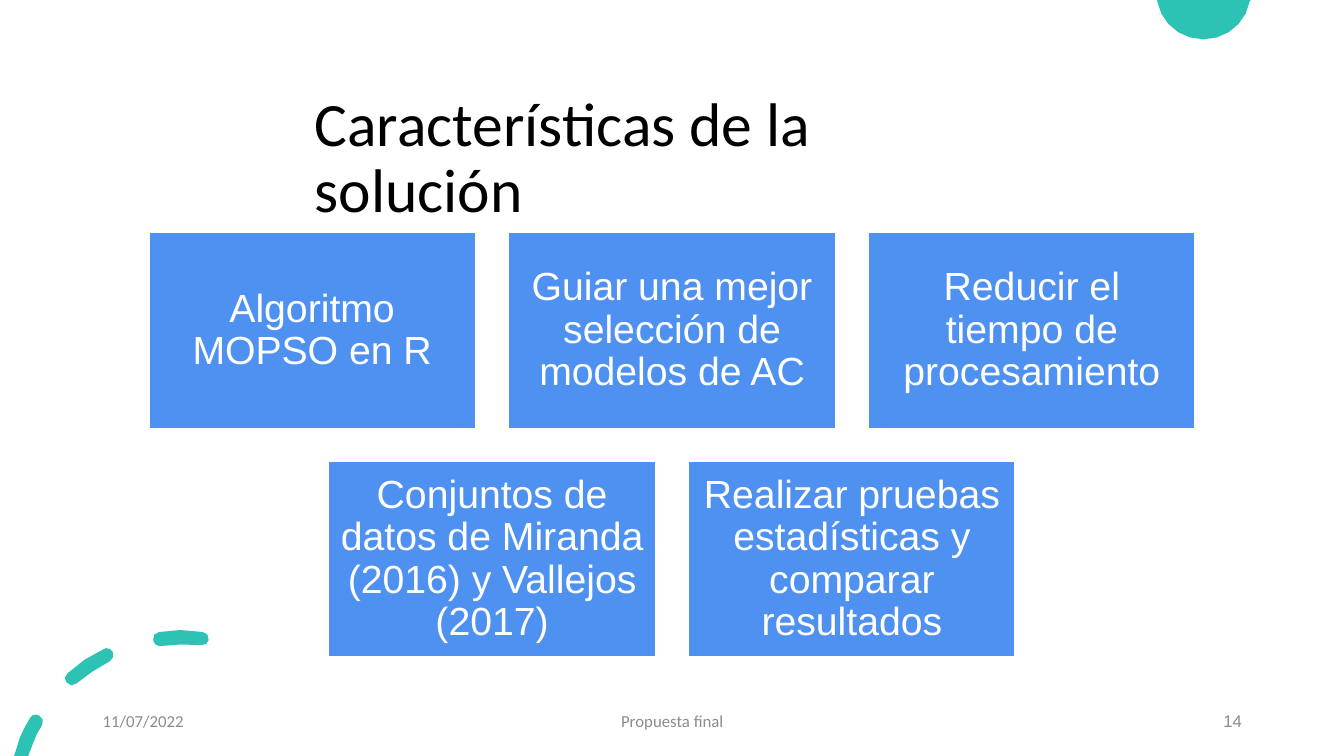
from pptx import Presentation, util as u
from pptx.dml.color import RGBColor
from pptx.enum import shapes, text

W, H = 40 / 3, 7.5
COLORS = {"teal": "2CC3B4", "card": "4E91F0", "white": "FFFFFF", "black": "000000", "gray": "8C8C8C"}
LEFT, CENTER, RIGHT = text.PP_ALIGN.LEFT, text.PP_ALIGN.CENTER, text.PP_ALIGN.RIGHT

TITLE = "Características de la solución"
CARD_ROWS = [
    ["Algoritmo MOPSO en R", "Guiar una mejor selección de modelos de AC", "Reducir el tiempo de procesamiento"],
    ["Conjuntos de datos de Miranda (2016) y Vallejos (2017)", "Realizar pruebas estadísticas y comparar resultados"],
]
CARD_W, CARD_H, GAP, CARDS_TOP = 3.24, 1.94, 0.33, 2.31
CARD_INSET_X, CARD_INSET_Y = 0.11, 0.12
FOOTERS = [
    ("11/07/2022", 0.92, 3, LEFT, "Calibri"),
    ("Propuesta final", 4.42, 4.5, CENTER, "Calibri"),
    ("14", 9.42, 3, RIGHT, "Arial"),
]
DOME = [[(11.48, 0), (12.41, 0), (12.4, 0.01), (12.36, 0.23, 12.17, 0.39, 11.94, 0.39),
         (11.71, 0.39, 11.52, 0.23, 11.48, 0.01)]]
DASHES = [
    [(0.36, 7.09), (0.34, 7.08, 0.31, 7.1, 0.3, 7.12), (0.26, 7.18, 0.23, 7.25, 0.2, 7.31),
     (0.14, 7.5), (0.28, 7.5), (0.33, 7.37), (0.35, 7.31, 0.38, 7.25, 0.42, 7.19),
     (0.44, 7.16, 0.42, 7.11, 0.39, 7.1)],
    [(1.05, 6.43), (1.03, 6.44), (0.9, 6.5, 0.77, 6.58, 0.67, 6.68),
     (0.64, 6.7, 0.63, 6.75, 0.66, 6.77), (0.71, 6.8), (0.76, 6.78),
     (0.86, 6.7, 0.97, 6.62, 1.09, 6.56), (1.12, 6.54, 1.14, 6.5, 1.12, 6.47),
     (1.11, 6.44, 1.08, 6.43, 1.05, 6.43)],
    [(1.79, 6.25), (1.58, 6.27), (1.54, 6.27, 1.51, 6.31, 1.52, 6.35),
     (1.52, 6.38, 1.55, 6.41, 1.58, 6.41), (1.73, 6.39, 1.86, 6.39, 1.99, 6.4),
     (2.03, 6.41, 2.07, 6.38, 2.07, 6.35), (2.08, 6.31, 2.05, 6.27, 2.01, 6.27)],
]
OUTLINES = [(DOME, 5), (DASHES, 2)]


def color(name):
    return RGBColor.from_string(COLORS[name])


def place(sp, left, top, width, height):
    sp.left, sp.top, sp.width, sp.height = (u.Inches(v) for v in (left, top, width, height))


def write(sp, words, size, font, ink, align, spacing=None):
    tf = sp.text_frame
    tf.word_wrap = True
    tf.auto_size = text.MSO_AUTO_SIZE.NONE
    tf.vertical_anchor = text.MSO_ANCHOR.MIDDLE
    tf.text = words
    p = tf.paragraphs[0]
    p.alignment, p.line_spacing = align, spacing
    p.font.size, p.font.name = u.Pt(size), font
    p.font.color.rgb = color(ink)
    return tf


def flatten(contour, steps):
    points = [contour[0]]
    for seg in contour[1:]:
        if len(seg) == 2:
            points.append(seg)
            continue
        a, b, c, d = points[-1], seg[:2], seg[2:4], seg[4:]
        for t in (i / steps for i in range(1, steps + 1)):
            k = 1 - t
            points.append(tuple(k**3 * a[i] + 3 * k * k * t * b[i] + 3 * k * t * t * c[i] + t**3 * d[i]
                                for i in (0, 1)))
    return [(u.Inches(x), u.Inches(y)) for x, y in points]


def draw_outline(s, contours, steps):
    outlines = [flatten(c, steps) for c in contours]
    builder = s.shapes.build_freeform(*outlines[0][0], scale=1)
    for i, points in enumerate(outlines):
        if i:
            builder.move_to(*points[0])
        builder.add_line_segments(points[1:], close=True)
    sp = builder.convert_to_shape()
    sp.shadow.inherit = False
    sp.fill.solid()
    sp.fill.fore_color.rgb = color("teal")
    sp.line.fill.background()


def draw_card(s, words, left, top):
    sp = s.shapes.add_shape(shapes.MSO_SHAPE.RECTANGLE, 0, 0, 0, 0)
    place(sp, left, top, CARD_W, CARD_H)
    sp.shadow.inherit = False
    sp.fill.solid()
    sp.fill.fore_color.rgb = color("card")
    sp.line.color.rgb = color("white")
    sp.line.width = u.Pt(1)
    tf = write(sp, words, 28, "Arial", "white", CENTER, 0.9)
    tf.margin_left = tf.margin_right = u.Inches(CARD_INSET_X)
    tf.margin_top = tf.margin_bottom = u.Inches(CARD_INSET_Y)


def main():
    prs = Presentation()
    prs.slide_width, prs.slide_height = u.Inches(W), u.Inches(H)
    s = prs.slides.add_slide(prs.slide_layouts[5])
    for contours, steps in OUTLINES:
        draw_outline(s, contours, steps)

    place(s.shapes.title, 3.02, 0.86, 7.29, 1.45)
    write(s.shapes.title, TITLE, 44, "Calibri", "black", LEFT, 0.9)

    for row, cards in enumerate(CARD_ROWS):
        row_w = len(cards) * (CARD_W + GAP) - GAP
        for col, words in enumerate(cards):
            draw_card(s, words, (W - row_w) / 2 + col * (CARD_W + GAP), CARDS_TOP + row * (CARD_H + GAP))

    for words, left, width, align, font in FOOTERS:
        sp = s.shapes.add_textbox(0, 0, 0, 0)
        place(sp, left, 6.95, width, 0.4)
        write(sp, words, 12, font, "gray", align)

    prs.save("out.pptx")


if __name__ == "__main__":
    main()
